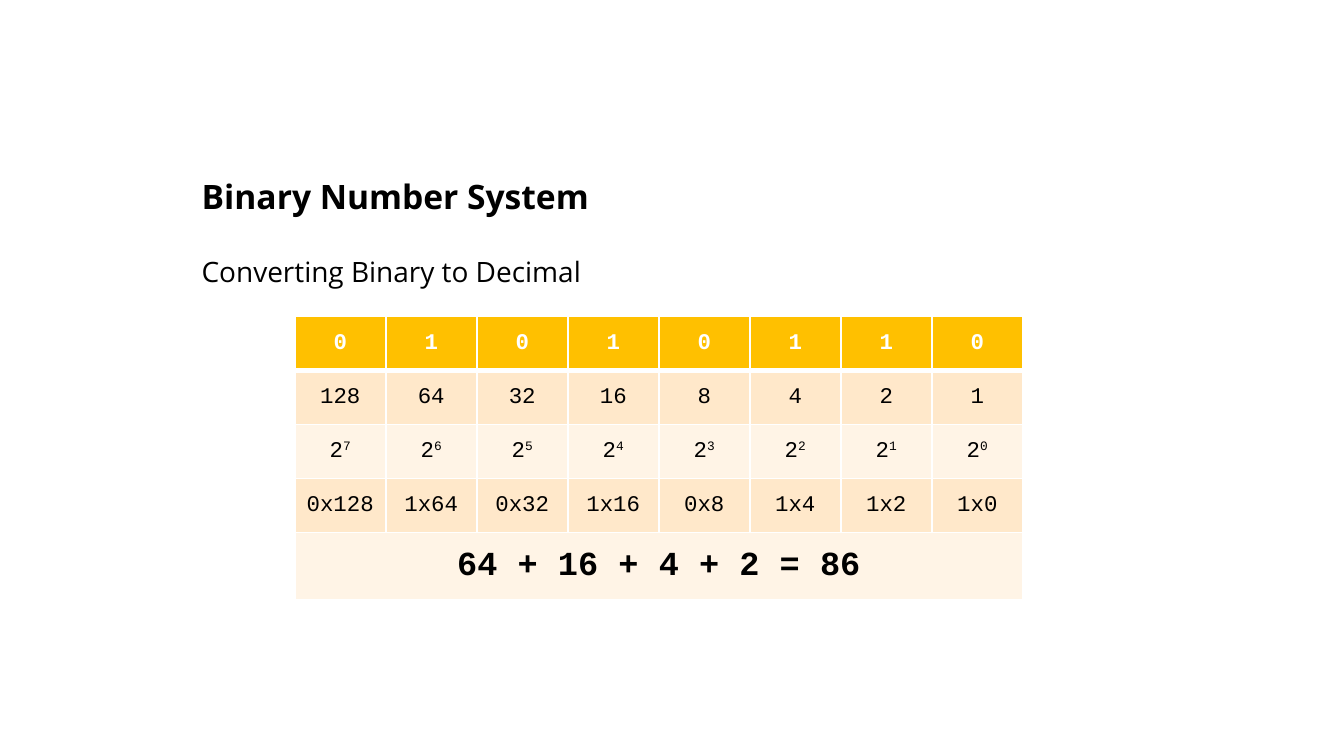
from lxml.etree import SubElement
from pptx import Presentation
from pptx.dml.color import RGBColor
from pptx.enum.text import MSO_ANCHOR as Anchor, MSO_AUTO_SIZE as AutoSize, PP_ALIGN as Align
from pptx.oxml.ns import qn
from pptx.util import Cm, Pt

BLACK = RGBColor(0x00, 0x00, 0x00)
WHITE = RGBColor(0xFF, 0xFF, 0xFF)
GOLD = RGBColor(0xFF, 0xC0, 0x00)
PEACH = RGBColor(0xFF, 0xE8, 0xCA)
CREAM = RGBColor(0xFF, 0xF4, 0xE6)

HEADING = {"name": "Open Sans", "size": Pt(18), "bold": True}
SUBHEADING = {"name": "Open Sans", "size": Pt(15), "bold": False}
DIGITS = {"name": "Courier New", "size": Pt(12), "bold": False}
BIT = {**DIGITS, "bold": True}
SUM = {**BIT, "size": Pt(18)}

BITS = "01010110"
POWERS = range(len(BITS) - 1, -1, -1)
PRODUCTS = ["0x128", "1x64", "0x32", "1x16", "0x8", "1x4", "1x2", "1x0"]
COLUMN_WIDTH = Cm(1.72)
ROW_HEIGHTS = [Cm(1.02)] * 4 + [Cm(1.27)]


def add_run(paragraph, text, style, color=BLACK):
    run = paragraph.add_run()
    run.text = text
    for key, value in style.items():
        setattr(run.font, key, value)
    run.font.color.rgb = color
    return run


def add_heading(slide):
    heading = slide.shapes.title
    place = {"left": Cm(3.63), "top": Cm(3.23), "width": Cm(16.97), "height": Cm(2.24)}
    for key, value in place.items():
        setattr(heading, key, value)
    frame = heading.text_frame
    layout = {"margin_left": Cm(0.18), "margin_right": Cm(0.18),
              "margin_top": Cm(0.1), "margin_bottom": Cm(0.1),
              "vertical_anchor": Anchor.TOP, "word_wrap": True,
              "auto_size": AutoSize.NONE}
    for key, value in layout.items():
        setattr(frame, key, value)
    title, subtitle = frame.paragraphs[0], frame.add_paragraph()
    add_run(title, "Binary Number System", HEADING)
    add_run(subtitle, "Converting Binary to Decimal", SUBHEADING)
    subtitle.space_before = Pt(20.5)
    title.alignment = subtitle.alignment = Align.JUSTIFY


def add_borders(cell, widths):
    properties = cell._tc.get_or_add_tcPr()
    for side, width in widths.items():
        line = SubElement(properties, qn(f"a:ln{side}"), w=str(Pt(width)))
        fill = SubElement(line, qn("a:solidFill"))
        SubElement(fill, qn("a:srgbClr"), val=str(WHITE))


def format_cell(cell, row, color):
    # A thicker rule divides the bits from the rows below
    add_borders(cell, {"L": 1, "R": 1, "T": 3 if row == 1 else 1,
                       "B": 3 if row == 0 else 1})
    cell.fill.solid()
    cell.fill.fore_color.rgb = color
    layout = {"margin_left": Cm(0.2), "margin_right": Cm(0.2),
              "margin_top": Cm(0.1), "margin_bottom": Cm(0.1),
              "vertical_anchor": Anchor.MIDDLE}
    for key, value in layout.items():
        setattr(cell, key, value)
    paragraph = cell.text_frame.paragraphs[0]
    paragraph.alignment = Align.CENTER
    return paragraph


def add_conversion_table(slide):
    table = slide.shapes.add_table(
        len(ROW_HEIGHTS), len(BITS), Cm(5.57), Cm(5.98),
        COLUMN_WIDTH * len(BITS), sum(ROW_HEIGHTS)).table
    for column in table.columns:
        column.width = COLUMN_WIDTH
    for row, height in zip(table.rows, ROW_HEIGHTS):
        row.height = height

    # Bits, place values, powers of two and products
    weights = [str(2 ** power) for power in POWERS]
    rows = [(BITS, GOLD, BIT, WHITE), (weights, PEACH, DIGITS, BLACK),
            ("2" * len(BITS), CREAM, DIGITS, BLACK), (PRODUCTS, PEACH, DIGITS, BLACK)]
    for row, (texts, fill, style, color) in enumerate(rows):
        for column, (text, power) in enumerate(zip(texts, POWERS)):
            paragraph = format_cell(table.cell(row, column), row, fill)
            add_run(paragraph, text, style, color)
            if row == 2:
                exponent = add_run(paragraph, str(power), style, color)
                exponent.font._element.set("baseline", "30000")

    # Sum across the full width
    last = len(ROW_HEIGHTS) - 1
    total = table.cell(last, 0)
    total.merge(table.cell(last, len(BITS) - 1))
    add_run(format_cell(total, last, CREAM), "64 + 16 + 4 + 2 = 86", SUM)


def main():
    deck = Presentation()
    deck.slide_width, deck.slide_height = Cm(25.4), Cm(14.28)
    slide = deck.slides.add_slide(deck.slide_layouts[5])
    add_heading(slide)
    add_conversion_table(slide)
    deck.save("out.pptx")


if __name__ == "__main__":
    main()
